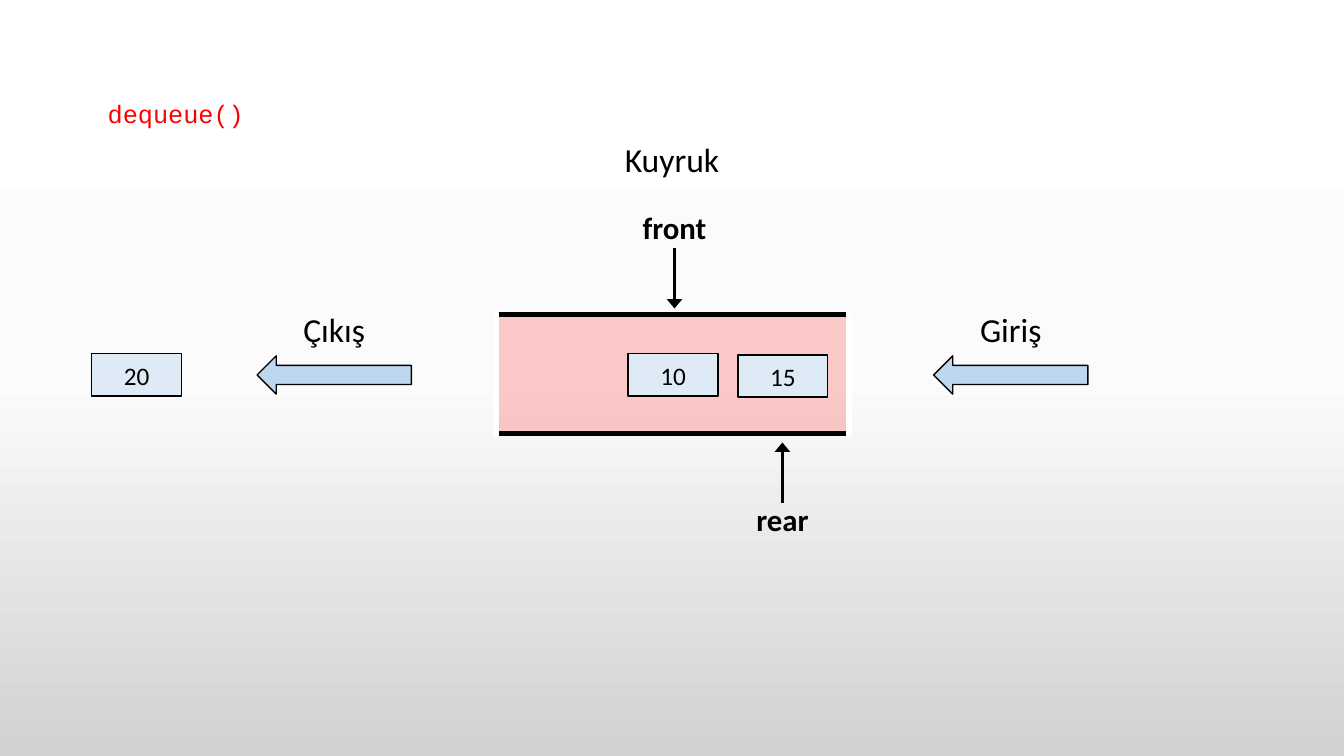
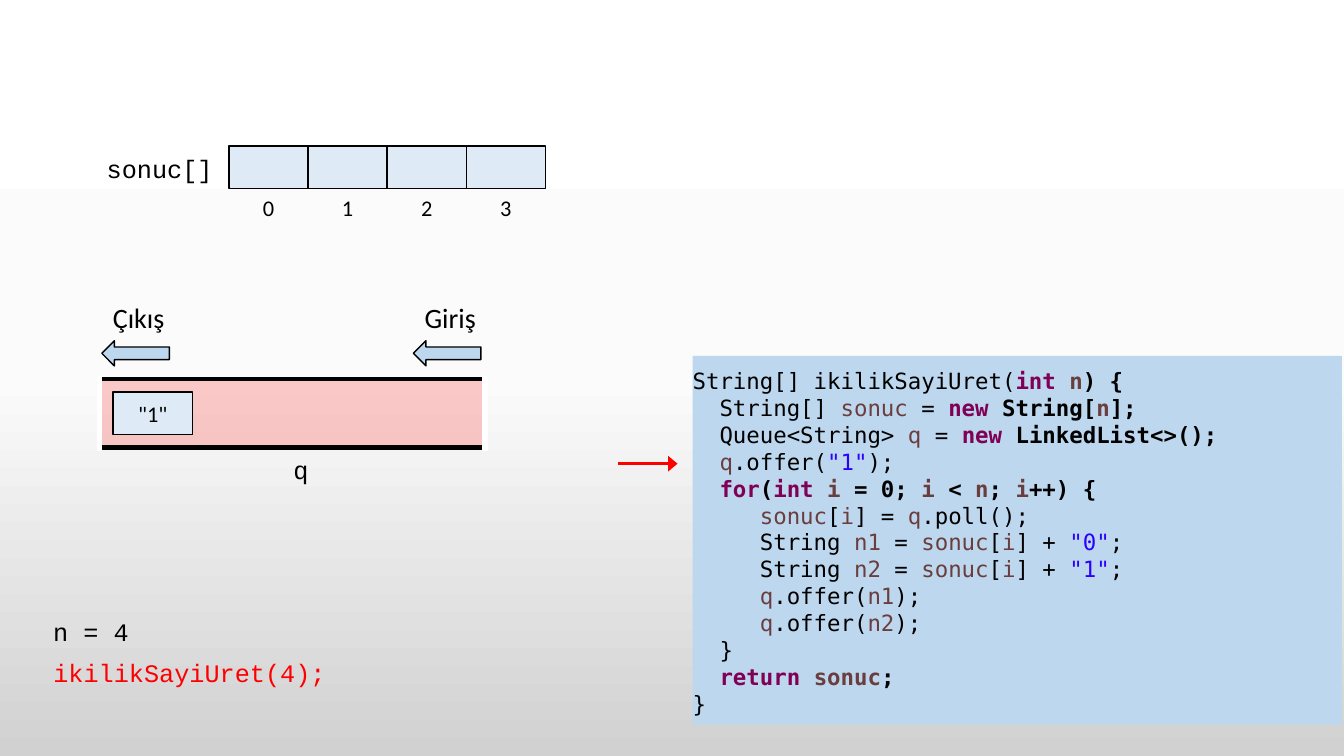
from copy import deepcopy
from itertools import groupby

from lxml import etree
from pptx import Presentation
from pptx.dml.color import RGBColor
from pptx.enum.shapes import MSO_CONNECTOR, MSO_SHAPE
from pptx.enum.text import MSO_ANCHOR, MSO_AUTO_SIZE, PP_ALIGN
from pptx.oxml.ns import qn
from pptx.util import Inches, Pt

# Shared look
BLACK, WHITE, RED = "000000", "FFFFFF", "FF0000"
ITEM_BLUE, ARROW_BLUE = "DEEBF7", "BDD7EE"
KEYWORD, VARIABLE, STRING = "7F0055", "6A3E3E", "2A00FF"
BACKGROUND = [(0, WHITE), (0.5, "FBFBFB"), (1, "D1D1D1")]
BODY, MONO, CODE = "Calibri", "Courier New", "DejaVu Sans Mono"

KEYWORDS = {"int", "new", "for", "return"}
VARIABLES = {"n", "sonuc", "q", "i", "n1", "n2"}
CODE_LINES = [
    "String[] ikilikSayiUret(int n) {",
    "  String[] sonuc = new String[n];",
    "  Queue<String> q = new LinkedList<>();",
    '  q.offer("1");',
    "  for(int i = 0; i < n; i++) {",
    "     sonuc[i] = q.poll();",
    '     String n1 = sonuc[i] + "0";',
    '     String n2 = sonuc[i] + "1";',
    "     q.offer(n1);",
    "     q.offer(n2);",
    "  }",
    "  return sonuc;",
    "}",
]


def rgb(value):
    return RGBColor.from_string(value)


def inches(*lengths):
    return [Inches(length) for length in lengths]


def set_background(master):
    fill = master.background.fill
    fill.gradient()
    fill.gradient_angle = 270
    stops = master.element.find(".//" + qn("a:gsLst"))
    stops.insert(1, deepcopy(stops[0]))
    for stop, (position, color) in zip(fill.gradient_stops, BACKGROUND):
        stop.position = position
        stop.color.rgb = rgb(color)


def add_run(paragraph, content, size=18, font=BODY, color=BLACK, bold=False):
    run = paragraph.add_run()
    run.text = content
    run.font.size = Pt(size)
    run.font.name = font
    run.font.color.rgb = rgb(color)
    run.font.bold = bold


def add_text(slide, content, box, align=PP_ALIGN.CENTER, **text_format):
    frame = slide.shapes.add_textbox(*inches(*box)).text_frame
    frame.word_wrap = False
    frame.auto_size = MSO_AUTO_SIZE.SHAPE_TO_FIT_TEXT
    frame.paragraphs[0].alignment = align
    add_run(frame.paragraphs[0], content, **text_format)


def add_shape(slide, box, fill, line=BLACK, width=1, kind=MSO_SHAPE.RECTANGLE, alpha=None):
    shape = slide.shapes.add_shape(kind, *inches(*box))
    shape.shadow.inherit = False
    shape.fill.solid()
    shape.fill.fore_color.rgb = rgb(fill)
    if alpha is not None:
        color = shape.fill._xPr.find(".//" + qn("a:srgbClr"))
        etree.SubElement(color, qn("a:alpha")).set("val", str(alpha * 1000))
    if line:
        shape.line.color.rgb = rgb(line)
        shape.line.width = Pt(width)
    else:
        shape.line.fill.background()
    return shape


def add_item(slide, content, box, size=18):
    frame = add_shape(slide, box, ITEM_BLUE).text_frame
    frame.vertical_anchor = MSO_ANCHOR.MIDDLE
    frame.paragraphs[0].alignment = PP_ALIGN.CENTER
    add_run(frame.paragraphs[0], content, size=size)


def add_arrow(slide, start, end, color=BLACK):
    connector = slide.shapes.add_connector(MSO_CONNECTOR.STRAIGHT, *inches(*start, *end))
    connector.line.color.rgb = rgb(color)
    connector.line.width = Pt(2.25)
    head = etree.SubElement(connector.line._get_or_add_ln(), qn("a:tailEnd"))
    head.set("type", "triangle")
    head.set("w", "lg")
    etree.SubElement(connector._element.spPr, qn("a:effectLst"))


def add_queue(slide, box):
    """Translucent channel whose two ends are left open."""
    left, top, width, height = box
    add_shape(slide, box, RED, width=3, alpha=20)
    for edge in (left, left + width):
        add_shape(slide, (edge - 0.02, top - 0.02, 0.04, height + 0.05), WHITE, line=WHITE)


def add_flow(slide, label, box, size, label_height, shift=0):
    """Block arrow with its label standing on it, centred and wider than the word."""
    left, top, width, _ = box
    label_width = 1.2
    label_left = left + (width - label_width) / 2 + shift
    add_shape(slide, box, ARROW_BLUE, kind=MSO_SHAPE.LEFT_ARROW)
    add_text(slide, label, (label_left, top - label_height, label_width, label_height), size=size)


def add_pointer(slide, label, x, start, end):
    """Named arrow that points at an end of the queue."""
    add_arrow(slide, (x, start), (x, end))
    label_top = start - (0.44 if end > start else 0.07)
    add_text(slide, label, (x - 0.42, label_top, 0.84, 0.47), size=22, bold=True)


def add_array(slide, name, box, count):
    """Row of empty cells with the index below each one."""
    left, top, width, height = box
    pitch = width / count
    add_text(slide, name, (left - 1.31, top + 0.02, 1.27, 0.4), PP_ALIGN.LEFT, font=MONO)
    for index in range(count):
        x = left + index * pitch
        add_shape(slide, (x, top, pitch, height), ITEM_BLUE)
        add_text(slide, str(index), (x, top + height + 0.01, pitch, 0.37), size=16)


def token_color(token):
    if token in KEYWORDS:
        return KEYWORD
    if token in VARIABLES:
        return VARIABLE
    return STRING if token.startswith('"') else BLACK


def add_code(slide, lines, box):
    """Code panel; text is bold from the first keyword of a line onwards."""
    frame = add_shape(slide, box, ARROW_BLUE, line=None).text_frame
    frame.word_wrap = True
    frame.auto_size = MSO_AUTO_SIZE.SHAPE_TO_FIT_TEXT
    frame.vertical_anchor = MSO_ANCHOR.BOTTOM
    frame.margin_left = frame.margin_right = 0
    frame.margin_top = frame.margin_bottom = Inches(0.08)
    for number, line in enumerate(lines):
        paragraph = frame.add_paragraph() if number else frame.paragraphs[0]
        paragraph.alignment = PP_ALIGN.LEFT
        bold = False
        for _, characters in groupby(line, lambda c: c.isalnum() or c == '"'):
            token = "".join(characters)
            bold = bold or token in KEYWORDS
            add_run(paragraph, token, size=16, font=CODE, color=token_color(token), bold=bold)


def build_dequeue(slide):
    add_text(slide, "Kuyruk", (6.09, 1.33, 1.15, 0.5), size=24)
    add_queue(slide, (4.92, 3.12, 3.5, 1.18))
    for label, left in (("Giriş", 9.26), ("Çıkış", 2.55)):
        add_flow(slide, label, (left, 3.53, 1.53, 0.38), 24, 0.51)
    add_text(slide, "dequeue()", (0.97, 0.93, 1.57, 0.4), PP_ALIGN.LEFT, font=MONO, color=RED)
    add_pointer(slide, "front", 6.69, 2.46, 3.06)
    add_pointer(slide, "rear", 7.76, 4.99, 4.39)
    for value, left, top in (("10", 6.23, 3.51), ("15", 7.32, 3.52), ("20", 0.91, 3.51)):
        add_item(slide, value, (left, top, 0.89, 0.42))


def build_binary_numbers(slide):
    # Call and current step
    add_text(slide, "ikilikSayiUret(4);", (0.43, 6.47, 2.95, 0.4), PP_ALIGN.LEFT,
             font=MONO, color=RED)
    add_text(slide, "n = 4", (0.43, 6.07, 0.96, 0.4), PP_ALIGN.LEFT, font=MONO)
    add_arrow(slide, (6.13, 4.6), (6.72, 4.6), RED)
    # Result array and queue
    add_array(slide, "sonuc[]", (2.27, 1.45, 3.14, 0.42), 4)
    add_queue(slide, (0.99, 3.76, 3.82, 0.68))
    for label, left in (("Çıkış", 1.01), ("Giriş", 4.1)):
        add_flow(slide, label, (left, 3.38, 0.67, 0.25), 20, 0.45, shift=0.03)
    add_text(slide, "q", (2.81, 4.46, 0.35, 0.4), font=MONO)
    add_item(slide, '"1"', (1.12, 3.89, 0.79, 0.42), size=16)
    # Code
    add_code(slide, CODE_LINES, (6.87, 3.53, 6.44, 3.66))


def main():
    presentation = Presentation()
    presentation.slide_width, presentation.slide_height = inches(13.33, 7.5)
    set_background(presentation.slide_master)
    for build in (build_dequeue, build_binary_numbers):
        build(presentation.slides.add_slide(presentation.slide_layouts[6]))
    presentation.save("out.pptx")


if __name__ == "__main__":
    main()
